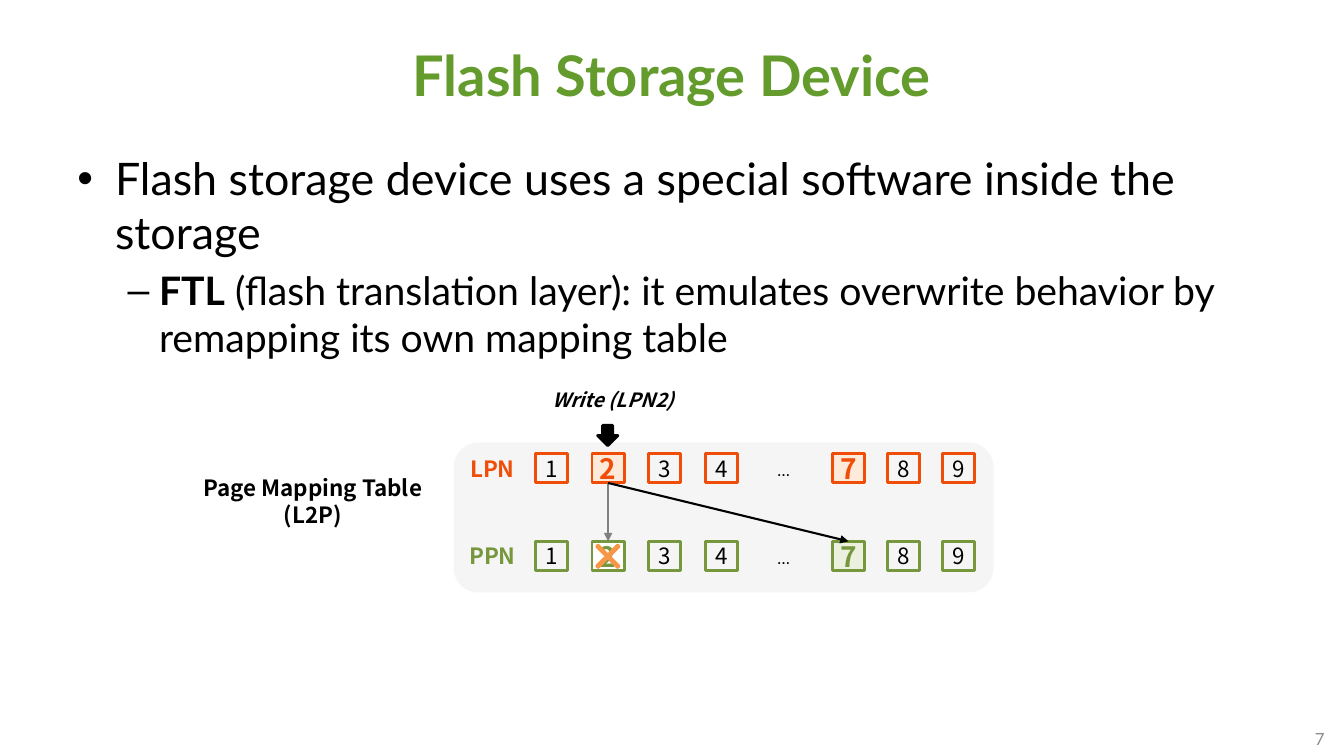
from dataclasses import dataclass
from typing import Any, Optional

from pptx import Presentation
from pptx import util as u
from pptx.dml.color import RGBColor
from pptx.enum import shapes, text
from pptx.oxml import ns, xmlchemy

SHAPE = shapes.MSO_SHAPE
ALIGN = text.PP_ALIGN


@dataclass(frozen=True)
class Theme:
    heading: str = "Lato"
    label: str = "Noto Sans CJK KR"
    title: str = "649B2D"
    ink: str = "000000"
    muted: str = "8C8C8C"
    old_link: str = "808080"
    panel: str = "F2F2F2"
    logical: str = "F04E08"
    logical_fill: str = "FDEADA"
    physical: str = "77973D"
    physical_fill: str = "EBF1DE"
    white: str = "FFFFFF"
    cross: str = "F79646"
    title_pt: int = 40
    body_pt: int = 32
    sub_pt: int = 28
    hot_pt: int = 20
    label_pt: int = 16
    request_pt: int = 14
    number_pt: int = 12


@dataclass(frozen=True)
class Box:
    left: float
    top: float
    width: float
    height: float

    def emu(self) -> tuple:
        return tuple(u.Cm(v) for v in (self.left, self.top, self.width, self.height))


@dataclass(frozen=True)
class PageRow:
    name: str
    top: float
    color: str
    hot_fills: dict  # page number -> fill of an emphasised page


T = Theme()
CELL_W, CELL_H = 0.81, 0.74
PAGE_LEFT = {n: 13.49 + 1.43 * (n - 1) for n in range(1, 5)}
PAGE_LEFT.update({n: 20.98 + 1.39 * (n - 7) for n in range(7, 10)})
ROWS = [
    PageRow("LPN", 11.43, T.logical, {2: T.logical_fill, 7: T.logical_fill}),
    PageRow("PPN", 13.64, T.physical, {2: T.white, 7: T.physical_fill}),
]


def add_child(parent: Any, tag: str, **attrs: str) -> Any:
    child = xmlchemy.OxmlElement(tag)
    for key, value in attrs.items():
        child.set(key, value)
    parent.append(child)
    return child


def style(font: Any, color: str, **values: Any) -> None:
    for key, value in values.items():
        setattr(font, key, value)
    font.color.rgb = RGBColor.from_string(color)


def add_run(p: Any, words: str, size: int, color: str = T.ink,
            name: str = T.label, **values: Any) -> Any:
    r = p.add_run()
    r.text = words
    style(r.font, color, name=name, size=u.Pt(size), **values)
    add_child(r.font._element, "a:ea", typeface=name)
    return r


def set_frame(tf: Any, margin: Optional[float] = 0,
              anchor: Any = text.MSO_ANCHOR.MIDDLE) -> None:
    values = {"word_wrap": True, "auto_size": text.MSO_AUTO_SIZE.NONE,
              "vertical_anchor": anchor}
    if margin is not None:
        values.update({f"margin_{side}": u.Cm(margin)
                       for side in ("left", "top", "right", "bottom")})
    for key, value in values.items():
        setattr(tf, key, value)


def add_shape(slide: Any, kind: Any, box: Box, fill: Optional[str] = None,
              line: Optional[str] = None) -> Any:
    sp = slide.shapes.add_shape(kind, *box.emu())
    sp.shadow.inherit = False
    if fill:
        sp.fill.solid()
        sp.fill.fore_color.rgb = RGBColor.from_string(fill)
    else:
        sp.fill.background()
    if line:
        sp.line.color.rgb = RGBColor.from_string(line)
        sp.line.width = u.Pt(2)
    else:
        sp.line.fill.background()
    return sp


def write_centred(sp: Any, lines: list, size: int, **values: Any) -> list:
    tf = sp.text_frame
    set_frame(tf)
    runs = []
    for i, words in enumerate(lines):
        p = tf.add_paragraph() if i else tf.paragraphs[0]
        p.alignment = ALIGN.CENTER
        runs.append(add_run(p, words, size, **values))
    return runs


def add_label(slide: Any, box: Box, lines: list, size: int = T.label_pt,
              **values: Any) -> list:
    sp = slide.shapes.add_textbox(*box.emu())
    return write_centred(sp, lines, size, bold=True, **values)


def add_bullet(p: Any, mark: str, left: float, hanging: float) -> None:
    pPr = p._p.get_or_add_pPr()
    pPr.set("marL", str(u.Cm(left)))
    pPr.set("indent", str(-u.Cm(hanging)))
    add_child(pPr, "a:buFont", typeface="Arial")
    add_child(pPr, "a:buChar", char=mark)


def add_arrow(slide: Any, start: tuple, end: tuple, color: str) -> None:
    cx = slide.shapes.add_connector(shapes.MSO_CONNECTOR.STRAIGHT,
                                    *(u.Cm(v) for v in start + end))
    cx.line.color.rgb = RGBColor.from_string(color)
    cx.line.width = u.Pt(1.5)
    add_child(cx.line._get_or_add_ln(), "a:tailEnd", type="triangle")
    add_child(cx._element.spPr, "a:effectLst")


def add_page_row(slide: Any, row: PageRow) -> None:
    for page, left in PAGE_LEFT.items():
        fill = row.hot_fills.get(page)
        sp = add_shape(slide, SHAPE.RECTANGLE, Box(left, row.top, CELL_W, CELL_H),
                       fill, row.color)
        write_centred(sp, [str(page)], T.hot_pt if fill else T.label_pt,
                      color=row.color if fill else T.ink, bold=bool(fill))
    add_label(slide, Box(11.61, row.top, 1.6, CELL_H), [row.name], color=row.color)
    dots = add_label(slide, Box(18.29, row.top, 2.92, CELL_H), ["…"])[0]
    dots.font._element.set("baseline", "-25000")


def add_heading_and_body(slide: Any) -> None:
    # Title
    title = slide.shapes.title
    title.left, title.top, title.width, title.height = Box(1.73, 0.28, 30.4, 3.18).emu()
    set_frame(title.text_frame, None)
    p = title.text_frame.paragraphs[0]
    p.alignment = ALIGN.CENTER
    add_run(p, "Flash Storage Device", T.title_pt, T.title, T.heading, bold=True)

    # Bullets
    tf = slide.shapes.add_textbox(*Box(1.7, 3.68, 30.48, 14.2).emu()).text_frame
    set_frame(tf, None, text.MSO_ANCHOR.TOP)
    p = tf.paragraphs[0]
    add_bullet(p, "•", 0.95, 0.95)
    add_run(p, "Flash storage device uses a special software inside the storage",
            T.body_pt, name=T.heading)
    p = tf.add_paragraph()
    p.level = 1
    p.space_before = u.Pt(5.6)
    add_bullet(p, "–", 2.06, 0.79)
    add_run(p, "FTL", T.sub_pt, name=T.heading, bold=True)
    add_run(p, " (flash translation layer): it emulates overwrite behavior by "
            "remapping its own mapping table", T.sub_pt, name=T.heading)

    # Slide number
    tf = slide.shapes.add_textbox(*Box(25.73, 18.11, 7.9, 1.02).emu()).text_frame
    set_frame(tf, None)
    tf.paragraphs[0].alignment = ALIGN.RIGHT
    add_run(tf.paragraphs[0], "7", T.number_pt, T.muted, T.heading)


def add_mapping_table(slide: Any) -> None:
    # Panel and its caption
    panel = add_shape(slide, SHAPE.ROUNDED_RECTANGLE, Box(11.43, 11.15, 13.61, 3.78), T.panel)
    add_child(panel.fill._xPr.find(ns.qn("a:solidFill"))[0], "a:alpha", val="70000")
    add_label(slide, Box(4.52, 11.94, 6.73, 1.37), ["Page Mapping Table", "(L2P)"])

    # Logical and physical pages
    for row in ROWS:
        add_page_row(slide, row)

    # Write request
    add_label(slide, Box(12.98, 9.73, 4.95, 0.69), ["Write (LPN2)"],
              T.request_pt, italic=True)
    add_shape(slide, SHAPE.DOWN_ARROW, Box(15.06, 10.72, 0.51, 0.51), T.ink, T.ink)

    # Old and new mapping of page 2
    logical, physical = ROWS
    start = (PAGE_LEFT[2] + CELL_W / 2, logical.top + CELL_H)
    for page, color in ((2, T.old_link), (7, T.ink)):
        add_arrow(slide, start, (PAGE_LEFT[page] + CELL_W / 2, physical.top), color)
    cross = add_shape(slide, SHAPE.MATH_MULTIPLY, Box(14.81, 13.51, 1.02, 1.02),
                      T.cross, T.cross)
    cross.adjustments[0] = 0.05


def main() -> None:
    prs = Presentation()
    prs.slide_width, prs.slide_height = u.Cm(33.87), u.Cm(19.05)
    slide = prs.slides.add_slide(prs.slide_layouts[5])
    add_heading_and_body(slide)
    add_mapping_table(slide)
    prs.save("out.pptx")


if __name__ == "__main__":
    main()
